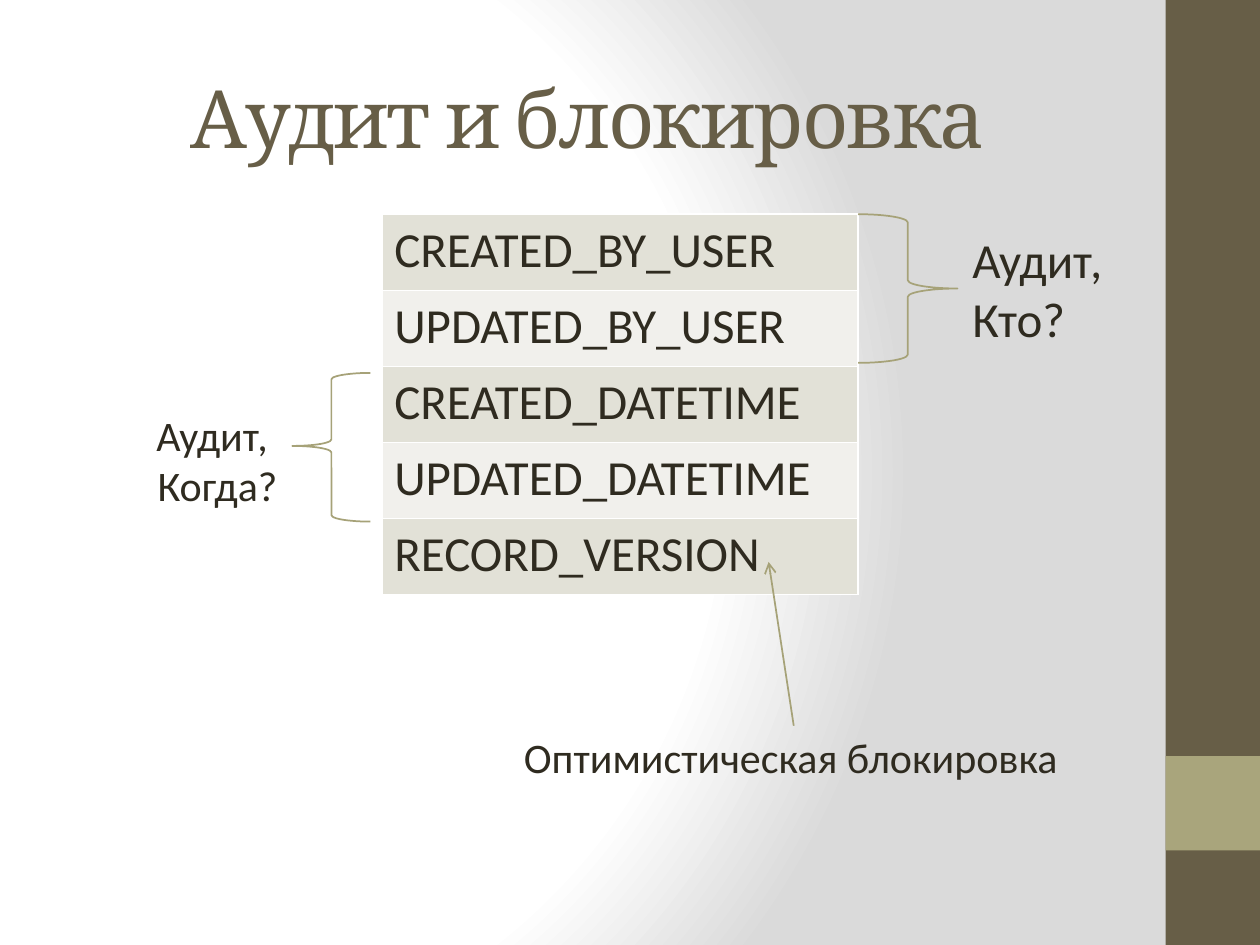
from lxml.etree import SubElement
from pptx import Presentation
from pptx.dml.color import RGBColor
from pptx.enum.shapes import MSO_CONNECTOR, MSO_SHAPE
from pptx.enum.text import MSO_ANCHOR, PP_ALIGN
from pptx.oxml import parse_xml
from pptx.oxml.ns import nsdecls, qn
from pptx.util import Inches, Pt

INK, BROWN, OLIVE, SAGE = "2F2B20", "675E47", "A6A278", "A9A57C"
rgb = RGBColor.from_string


def style(frame, size, font="Calibri", color=INK, align=None):
    for para in frame.paragraphs:
        para.alignment = align
        for run in para.runs:
            run.font.size = Pt(size)
            run.font.name = font
            run.font.color.rgb = rgb(color)


def add_text(text, left, top, width, height, size, wrap=False, **look):
    box = slide.shapes.add_textbox(
        Inches(left), Inches(top), Inches(width), Inches(height))
    box.text_frame.text = text
    box.text_frame.word_wrap = wrap
    style(box.text_frame, size, **look)
    return box


prs = Presentation()
prs.slide_width, prs.slide_height = Inches(10), Inches(7.5)
slide = prs.slides.add_slide(prs.slide_layouts[6])

# Background: radial gradient, white to grey
slide.background.fill.gradient()
old = slide.background._cSld.find(".//" + qn("a:gradFill"))
stops = "".join(
    f'<a:gs pos="{pos * 1000}"><a:srgbClr val="{color}"/></a:gs>'
    for pos, color in [(0, "FFFFFF"), (75, "FFFFFF"), (100, "DADADA")])
old.getparent().replace(old, parse_xml(
    f'<a:gradFill {nsdecls("a")} rotWithShape="1"><a:gsLst>{stops}</a:gsLst>'
    '<a:path path="circle">'
    '<a:fillToRect l="20000" t="50000" r="100000" b="50000"/>'
    '</a:path></a:gradFill>'))

# Side bar with its accent square
for top, height, color in [(0, 7.5, BROWN), (6, 0.75, SAGE)]:
    bar = slide.shapes.add_shape(
        MSO_SHAPE.RECTANGLE, Inches(9.25), Inches(top), Inches(0.75), Inches(height))
    bar.shadow.inherit = False
    bar.fill.solid()
    bar.fill.fore_color.rgb = rgb(color)
    bar.line.fill.background()

title = add_text("Аудит и блокировка", 0.5, 0.3, 8.33, 1.25, 46, wrap=True,
                 font="Cambria", color=BROWN, align=PP_ALIGN.CENTER)
title.text_frame.vertical_anchor = MSO_ANCHOR.MIDDLE
title.text_frame.paragraphs[0].runs[0].font._element.set("spc", "-100")

# Table of audit fields
fields = ["CREATED_BY_USER", "UPDATED_BY_USER", "CREATED_DATETIME",
          "UPDATED_DATETIME", "RECORD_VERSION"]
table = slide.shapes.add_table(
    len(fields), 1, Inches(3.03), Inches(1.7), Inches(3.78), Inches(3.02)).table
table.first_row = False
for row, field in enumerate(fields):
    cell = table.cell(row, 0)
    cell.text = field
    style(cell.text_frame, 28)
    props = cell._tc.get_or_add_tcPr()
    for side in ("lnL", "lnR", "lnT", "lnB"):
        edge = SubElement(props, qn("a:" + side), w=str(Pt(1)))
        paint = SubElement(edge, qn("a:solidFill"))
        SubElement(paint, qn("a:srgbClr"), val="FFFFFF")
    cell.fill.solid()
    cell.fill.fore_color.rgb = rgb("F1F0EC" if row % 2 else "E2E1D7")

# Braces beside the field pairs
for kind, left, top, width, bend in [
        (MSO_SHAPE.RIGHT_BRACE, 6.81, 1.7, 0.79, (0.083, 0.5)),
        (MSO_SHAPE.LEFT_BRACE, 2.32, 2.96, 0.62, (0.083, 0.491))]:
    brace = slide.shapes.add_shape(
        kind, Inches(left), Inches(top), Inches(width), Inches(1.18))
    brace.adjustments[0], brace.adjustments[1] = bend
    brace.shadow.inherit = False
    brace.fill.background()
    brace.line.color.rgb = rgb(OLIVE)
    brace.line.width = Pt(1)

add_text("Аудит,\nКто?", 7.62, 1.77, 1.33, 1.04, 28)
add_text("Аудит, \nКогда?", 1.14, 3.2, 1.16, 0.91, 24, wrap=True,
         align=PP_ALIGN.RIGHT)
lock = add_text("Оптимистическая блокировка", 4.06, 5.76, 4.48, 0.5, 24)

# Arrow from the lock label to the version field
arrow = slide.shapes.add_connector(
    MSO_CONNECTOR.STRAIGHT, Inches(6.29), Inches(5.76), Inches(6.1), Inches(4.46))
arrow.begin_connect(lock, 0)
arrow.line.color.rgb = rgb(OLIVE)
arrow.line.width = Pt(1)
SubElement(arrow.line._get_or_add_ln(), qn("a:tailEnd"), type="arrow")
SubElement(arrow._element.spPr, qn("a:effectLst"))

prs.save("out.pptx")
